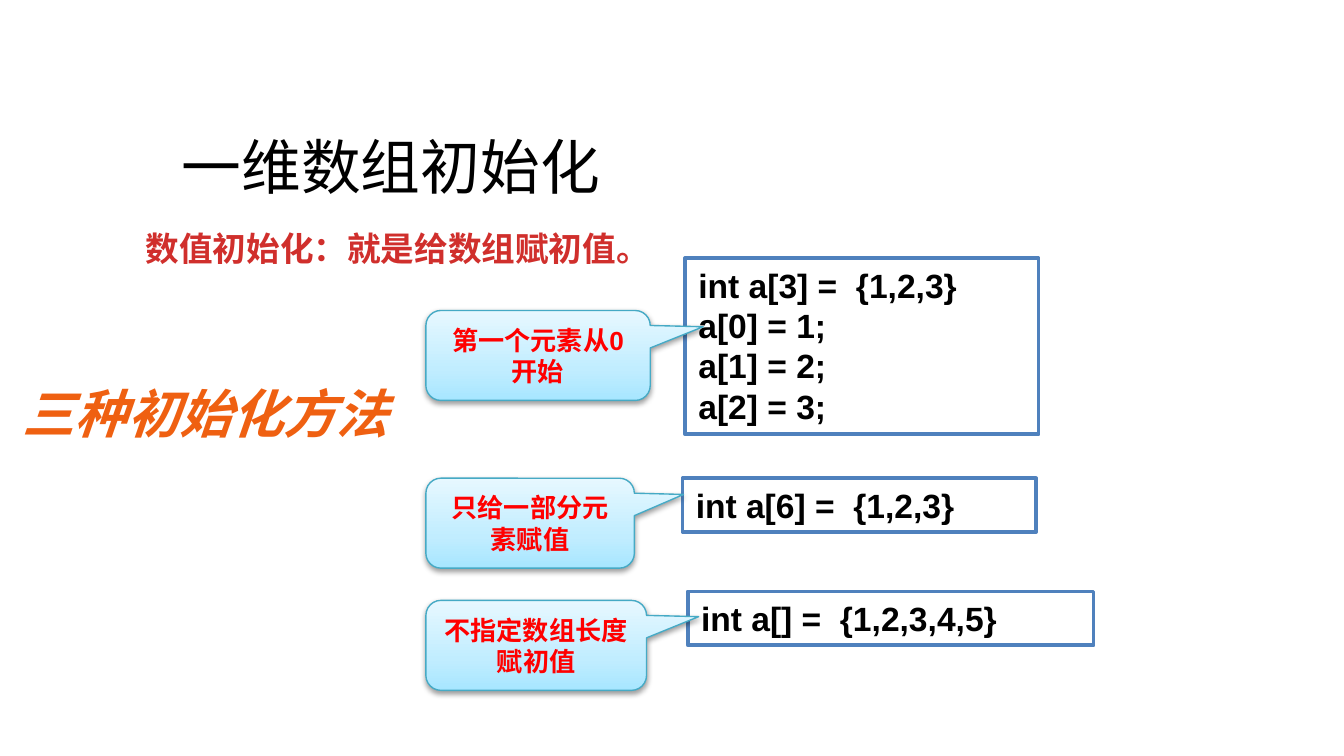
from lxml import etree
from pptx import Presentation
from pptx import util as u
from pptx.dml.color import RGBColor
from pptx.enum import shapes, text
from pptx.oxml import ns

COLORS = {
    "black": "000000",
    "white": "FFFFFF",
    "red": "FF0000",
    "orange": "EF6011",
    "box_line": "4F81BD",
    "callout_line": "46AAC5",
}
CALLOUT_STOPS = [(0, "A7E6FF"), (35, "C1EDFF"), (100, "E7F8FF")]
HEADING_STOPS = [(0, "FC7C7A"), (75, "D02F2C"), (100, "C70500")]


def gradient(stops, angle):
    fill = etree.Element(ns.qn("a:gradFill"), rotWithShape="1")
    stop_list = etree.SubElement(fill, ns.qn("a:gsLst"))
    for position, color in stops:
        stop = etree.SubElement(stop_list, ns.qn("a:gs"), pos=str(position * 1000))
        etree.SubElement(stop, ns.qn("a:srgbClr"), val=color)
    etree.SubElement(fill, ns.qn("a:lin"), ang=str(angle * 60000), scaled="0")
    return fill


def write(shape, lines, size, font, color, bold=True, alignment=text.PP_ALIGN.LEFT):
    """Fill a shape with one paragraph per line and return the last run."""
    frame = shape.text_frame
    frame.word_wrap = True
    for index, line in enumerate(lines):
        paragraph = frame.add_paragraph() if index else frame.paragraphs[0]
        paragraph.alignment = alignment
        run = paragraph.add_run()
        run.text = line
        run.font.size = u.Pt(size)
        run.font.name = font
        run.font.bold = bold
        run.font.color.rgb = RGBColor.from_string(COLORS[color])
    return run


presentation = Presentation()
presentation.slide_width = u.Cm(25.4)
presentation.slide_height = u.Cm(14.29)
slide = presentation.slides.add_slide(presentation.slide_layouts[5])

# Title and headings
title = slide.shapes.title
title.left, title.top = u.Cm(3.18), u.Cm(2.29)
title.width, title.height = u.Cm(15.44), u.Cm(1.7)
title.text_frame.vertical_anchor = text.MSO_ANCHOR.MIDDLE
write(title, ["一维数组初始化"], 32, "Calibri", "black", bold=False)

definition = slide.shapes.add_textbox(u.Cm(1.47), u.Cm(4.19), u.Cm(12.09), u.Cm(1.02))
run = write(definition, ["数值初始化：就是给数组赋初值。"], 18, "Arial", "red",
            alignment=text.PP_ALIGN.CENTER)
properties = run.font._element if hasattr(run.font, "_element") else run._r.get_or_add_rPr()
properties.replace(properties.find(ns.qn("a:solidFill")), gradient(HEADING_STOPS, 90))

methods = slide.shapes.add_textbox(u.Cm(0.18), u.Cm(7.09), u.Cm(7.49), u.Cm(1.45))
run = write(methods, ["三种初始化方法"], 28, "Noto Sans CJK SC", "orange")
run.font.italic = True
methods.text_frame.word_wrap = False

# Code boxes: left, top, width, height, lines
code_boxes = [
    (12.95, 4.88, 6.68, 3.33,
     ["int a[3] =  {1,2,3}", "a[0] = 1;", "a[1] = 2;", "a[2] = 3;"]),
    (12.9, 9.04, 6.68, 1.02, ["int a[6] =  {1,2,3}"]),
    (13, 11.18, 7.67, 1.02, ["int a[] =  {1,2,3,4,5}"]),
]
for left, top, width, height, lines in code_boxes:
    box = slide.shapes.add_shape(shapes.MSO_SHAPE.RECTANGLE, u.Cm(left), u.Cm(top),
                                 u.Cm(width), u.Cm(height))
    box.shadow.inherit = False
    box.fill.solid()
    box.fill.fore_color.rgb = RGBColor.from_string(COLORS["white"])
    box.line.color.rgb = RGBColor.from_string(COLORS["box_line"])
    box.line.width = u.Pt(2)
    box.text_frame.vertical_anchor = text.MSO_ANCHOR.TOP
    write(box, lines, 18, "Arial", "black")

# Callouts: top, width, font, note
callouts = [
    (5.87, 4.24, "Arial", "第一个元素从0开始"),
    (9.04, 3.94, "Calibri", "只给一部分元素赋值"),
    (11.35, 4.17, "Calibri", "不指定数组长度赋初值"),
]
for top, width, font, note in callouts:
    callout = slide.shapes.add_shape(shapes.MSO_SHAPE.ROUNDED_RECTANGULAR_CALLOUT,
                                     u.Cm(8.05), u.Cm(top), u.Cm(width), u.Cm(1.7))
    for index, value in enumerate([0.736, -0.319, 0.167]):
        callout.adjustments[index] = value
    callout.line.color.rgb = RGBColor.from_string(COLORS["callout_line"])
    callout.line.width = u.Pt(0.75)
    callout.shadow.inherit = False
    shape_properties = callout._element.spPr
    shape_properties.find(ns.qn("a:prstGeom")).addnext(gradient(CALLOUT_STOPS, 270))
    shadow = etree.SubElement(shape_properties.find(ns.qn("a:effectLst")),
                              ns.qn("a:outerShdw"), blurRad=str(u.Pt(3.1)),
                              dist=str(u.Pt(1.6)), dir="5400000", rotWithShape="0")
    shadow_color = etree.SubElement(shadow, ns.qn("a:srgbClr"), val=COLORS["black"])
    etree.SubElement(shadow_color, ns.qn("a:alpha"), val="38000")
    callout.text_frame.vertical_anchor = text.MSO_ANCHOR.MIDDLE
    write(callout, [note], 14, font, "red", alignment=text.PP_ALIGN.CENTER)

presentation.save("out.pptx")
